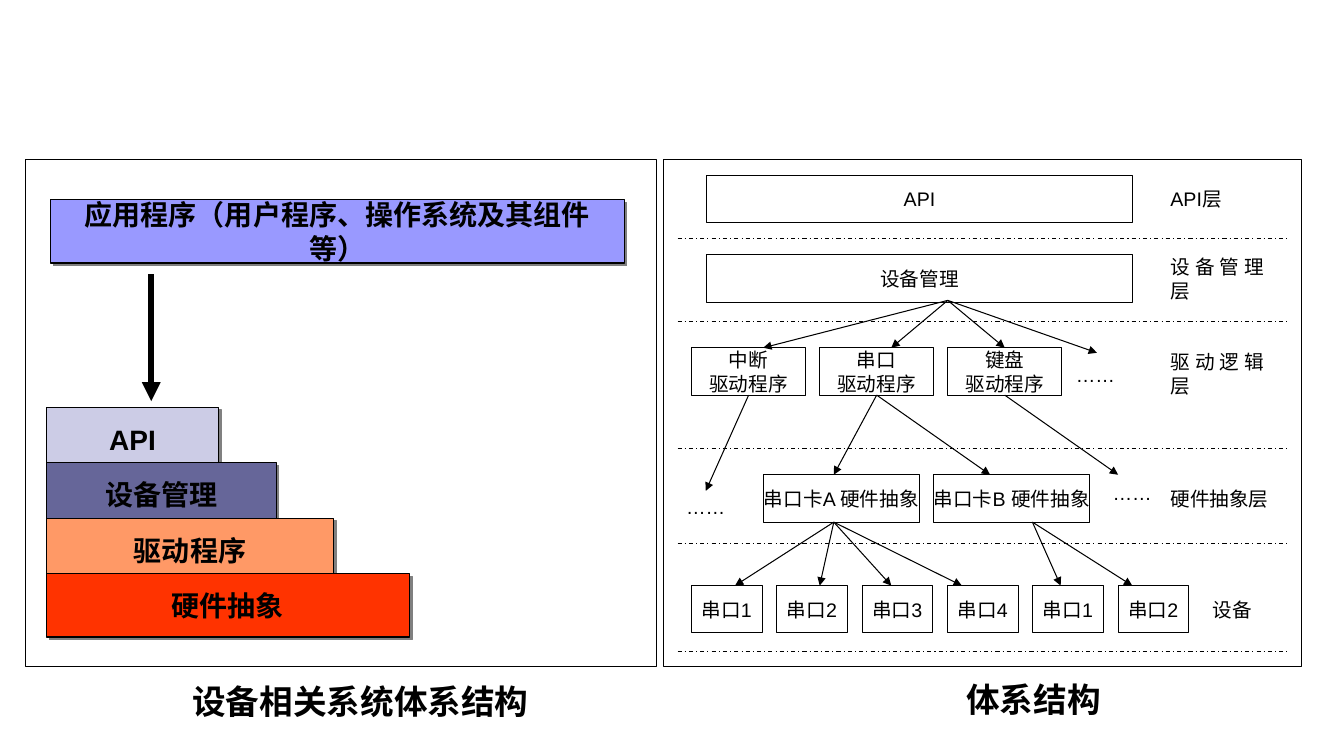
import pptx
import pptx.util
import pptx.oxml
import pptx.oxml.ns
import pptx.dml.color
import pptx.enum.text
import pptx.enum.dml
import pptx.enum.shapes

Inches = pptx.util.Inches
RGBColor = pptx.dml.color.RGBColor
ALIGN = pptx.enum.text.PP_ALIGN
NS = pptx.oxml.ns.nsdecls("a")

BLACK = RGBColor(0x00, 0x00, 0x00)
WHITE = RGBColor(0xFF, 0xFF, 0xFF)
LILAC = RGBColor(0xCC, 0xCC, 0xE6)
SLATE = RGBColor(0x66, 0x66, 0x99)
ORANGE = RGBColor(0xFF, 0x99, 0x66)
RED = RGBColor(0xFF, 0x33, 0x00)
BLUE = RGBColor(0x99, 0x99, 0xFF)

SMALL = {"size": pptx.util.Pt(14), "bold": False}
BOLD = {"size": pptx.util.Pt(20), "bold": True}
TITLE = {"size": pptx.util.Pt(24), "bold": True}
SHADE = (f'<a:effectLst {NS}><a:outerShdw dist="35560" dir="2700000" algn="ctr" rotWithShape="0">'
         '<a:srgbClr val="808080"/></a:outerShdw></a:effectLst>')


class Board:
    """Draw styled boxes, lines and captions on one slide."""

    def __init__(self, slide):
        self.shapes = slide.shapes
        self.base = {"name": "Arial"}

    def fill_text(self, shape, text, style, align, pad=0.1, rise=0.05):
        frame = shape.text_frame
        frame.text = text
        form = {"word_wrap": True, "margin_left": Inches(pad), "margin_right": Inches(pad),
                "margin_top": Inches(rise), "margin_bottom": Inches(rise)}
        for key, value in form.items():
            setattr(frame, key, value)
        for para in frame.paragraphs:
            para.alignment = align
            for key, value in {**self.base, **style}.items():
                setattr(para.font, key, value)
            para.font.color.rgb = BLACK

    def box(self, left, top, width, height, text="", fill=WHITE, edge=BLACK, style=SMALL,
            align=ALIGN.CENTER, pad=0.1, rise=0.05, shade=False):
        shape = self.shapes.add_shape(pptx.enum.shapes.MSO_SHAPE.RECTANGLE,
                                      *map(Inches, (left, top, width, height)))
        shape.shadow.inherit = False
        shape.fill.solid()
        shape.fill.fore_color.rgb = fill
        shape.line.color.rgb = edge
        shape.line.width = pptx.util.Pt(0.75)
        if shade:
            props = shape.element.spPr
            props.remove(props.find(pptx.oxml.ns.qn("a:effectLst")))
            props.append(pptx.oxml.parse_xml(SHADE))
        if text:
            shape.text_frame.vertical_anchor = pptx.enum.text.MSO_ANCHOR.MIDDLE
            self.fill_text(shape, text, style, align, pad, rise)
        return shape

    def label(self, left, top, width, text):
        return self.box(left, top, width, 0.47, text, edge=WHITE, align=ALIGN.JUSTIFY)

    def dots(self, left, top, align=ALIGN.CENTER):
        return self.box(left, top, 0.56, 0.31, "……", edge=WHITE, align=align, pad=0, rise=0)

    def line(self, start, end, width=0.75, dash=None, head=True, tie=None, goal=None):
        link = self.shapes.add_connector(pptx.enum.shapes.MSO_CONNECTOR.STRAIGHT,
                                         *map(Inches, (*start, *end)))
        link.line.color.rgb = BLACK
        link.line.width = pptx.util.Pt(width)
        if dash:
            link.line.dash_style = dash
        if head:
            edge = link.element.spPr.find(pptx.oxml.ns.qn("a:ln"))
            edge.append(pptx.oxml.parse_xml(f'<a:tailEnd {NS} type="triangle"/>'))
        link.element.spPr.append(pptx.oxml.parse_xml(f"<a:effectLst {NS}/>"))
        if tie is not None:
            link.begin_connect(tie, 2)
        if goal is not None:
            link.end_connect(goal, 0)

    def title(self, left, top, text, align):
        shape = self.shapes.add_textbox(*map(Inches, (left, top, 4.4, 0.5)))
        self.fill_text(shape, text, TITLE, align)
        para = shape.text_frame.paragraphs[0]
        para.level = 1
        props = para._p.get_or_add_pPr()
        props.set("marL", str(Inches(0.5)))
        props.set("indent", "0")


def draw_stack(board):
    board.box(0.25, 1.58, 6.26, 5.03)
    layers = [("API", 1.71, LILAC), ("设备管理", 2.28, SLATE),
              ("驱动程序", 2.85, ORANGE), ("硬件抽象", 3.6, RED)]
    for i, (text, width, fill) in enumerate(layers):
        board.box(0.46, 4.04 + 0.55 * i, width, 0.63, text, fill, style=BOLD, shade=True)
    board.box(0.5, 1.98, 5.69, 0.63, "应用程序（用户程序、操作系统及其组件等）", BLUE,
              style=BOLD, shade=True)
    board.line((1.5, 2.72), (1.5, 3.98), 4.5)


def draw_tree(board):
    board.box(6.58, 1.58, 6.33, 5.03)
    for top, text in [(1.74, "API"), (2.53, "设备管理")]:
        board.box(7.01, top, 4.22, 0.47, text)
    drivers = [board.box(6.86 + 1.27 * i, 3.45, 1.13, 0.47, f"{kind}\n驱动程序", pad=0)
               for i, kind in enumerate(["中断", "串口", "键盘"])]
    for i, card in enumerate("AB"):
        board.box(7.57 + 1.69 * i, 4.71, 1.55, 0.47, f"串口卡{card} 硬件抽象", pad=0)
    gap = (11.09 - 6.86) / 5
    for i, port in enumerate([1, 2, 3, 4, 1, 2]):
        board.box(6.86 + gap * i, 5.81, 0.7, 0.47, f"串口{port}", align=ALIGN.JUSTIFY)

    board.dots(10.67, 3.56, ALIGN.JUSTIFY)
    board.dots(10.95, 4.73)
    other = board.dots(6.72, 4.87)

    root = (9.4, 2.98)
    for end in [(7.57, 3.45), (8.84, 3.45), (10.88, 3.5)]:
        board.line(root, end)
    board.line(root, (9.96, 3.45), goal=drivers[2])
    board.line((7.43, 3.92), (7.01, 4.87), tie=drivers[0], goal=other)
    for i, x, end in [(1, 8.69, 8.27), (1, 8.69, 9.82), (2, 9.96, 11.09)]:
        board.line((x, 3.92), (end, 4.71), tie=drivers[i])
    for x, ends in [(8.27, (7.29, 8.13, 8.84, 9.54)), (10.24, (10.52, 11.23))]:
        for end in ends:
            board.line((x, 5.18), (end, 5.81))

    for y in (2.37, 3.19, 4.45, 5.39, 6.46):
        board.line((6.72, y), (12.78, y), dash=pptx.enum.dml.MSO_LINE.DASH_DOT, head=False)
    for left, top, width, text in [(11.51, 1.74, 1.13, "API层"), (11.51, 2.53, 1.13, "设备管理层"),
                                   (11.51, 3.47, 1.13, "驱动逻辑层"), (11.51, 4.71, 1.27, "硬件抽象层"),
                                   (11.93, 5.81, 0.7, "设备")]:
        board.label(left, top, width, text)


def main():
    deck = pptx.Presentation()
    deck.slide_width, deck.slide_height = Inches(13.33), Inches(7.5)
    board = Board(deck.slides.add_slide(deck.slide_layouts[6]))
    draw_stack(board)
    draw_tree(board)
    board.title(1.31, 6.71, "设备相关系统体系结构", ALIGN.LEFT)
    board.title(7.8, 6.69, "体系结构", ALIGN.CENTER)
    deck.save("out.pptx")


if __name__ == "__main__":
    main()
